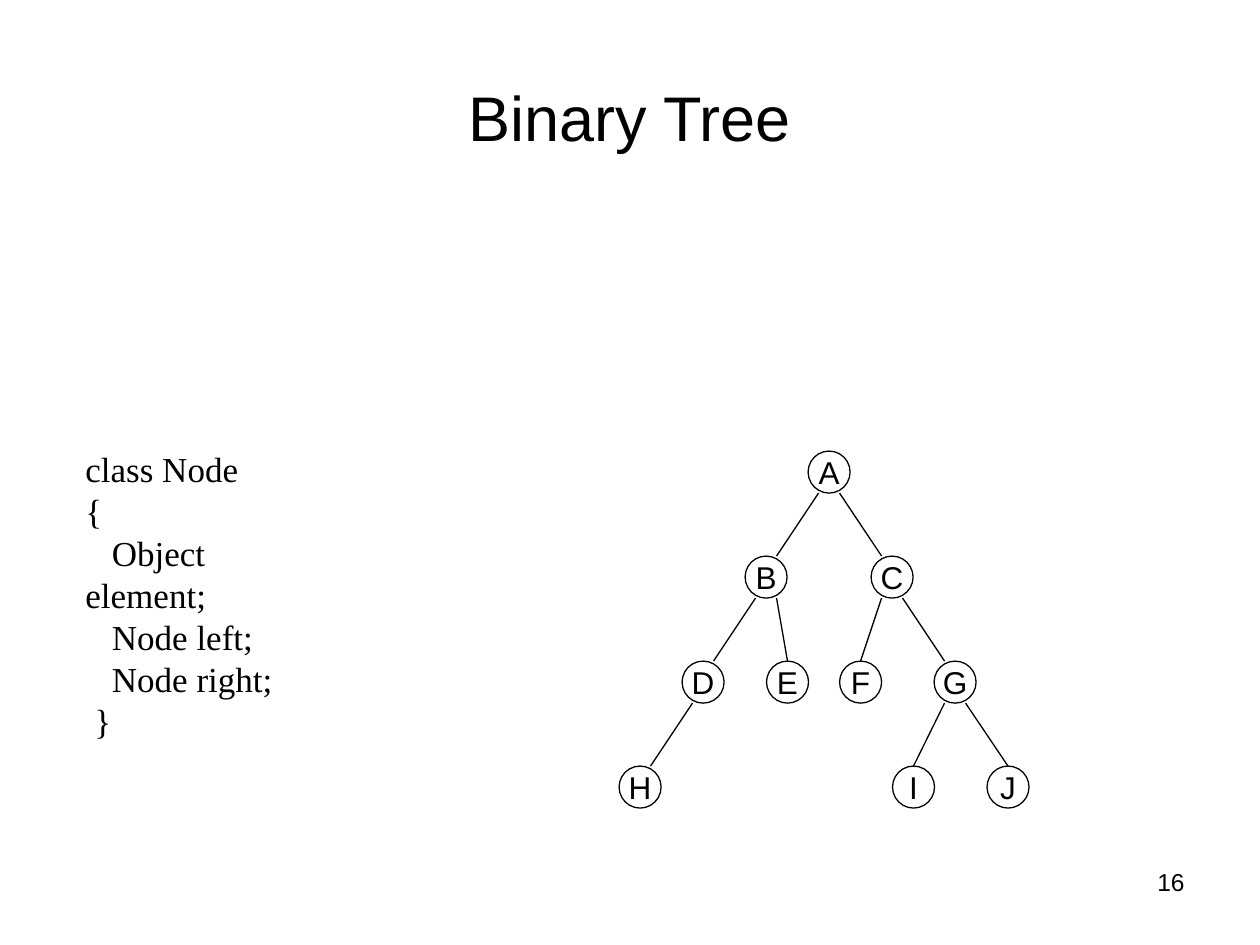
import pptx
import pptx.util
import pptx.dml.color
import pptx.enum.shapes
import pptx.enum.text
import pptx.oxml.ns
from lxml import etree

Inches = pptx.util.Inches
ALIGN = pptx.enum.text.PP_ALIGN
ANCHOR = pptx.enum.text.MSO_ANCHOR

# Content
TITLE = "Binary Tree"
PAGE = "16"
CODE = [("class Node", 0), ("{", 0), ("Object element;", 0.21),
        ("Node left;", 0.21), ("Node right;", 0.21), ("}", 0.07)]
# node: (centre x, level, parent)
TREE = {
    "A": (6.58, 0, None),
    "B": (6.08, 1, "A"), "C": (7.08, 1, "A"),
    "D": (5.58, 2, "B"), "E": (6.25, 2, "B"),
    "F": (6.83, 2, "C"), "G": (7.58, 2, "C"),
    "H": (5.08, 3, "D"), "I": (7.25, 3, "G"), "J": (8.0, 3, "G"),
}

# Layout in inches
TREE_TOP, LEVEL_GAP, NODE = 3.58, 2.5 / 3, 1 / 3
LINK_SHIFT = NODE / 4
BLACK, WHITE = "000000", "FFFFFF"


def color(value):
    return pptx.dml.color.RGBColor.from_string(value)


def box(left, top, width, height):
    return [Inches(v) for v in (left, top, width, height)]


def write(tf, lines, size, font="Arial", align=ALIGN.LEFT, **frame):
    for name, value in frame.items():
        setattr(tf, name, value)
    for i, (text, indent) in enumerate(lines):
        p = tf.paragraphs[0] if i == 0 else tf.add_paragraph()
        p.alignment = align
        if indent:
            p._p.get_or_add_pPr().set("indent", str(Inches(indent)))
        r = p.add_run()
        r.text = text
        for name, value in {"size": pptx.util.Pt(size), "name": font}.items():
            setattr(r.font, name, value)
        r.font.color.rgb = color(BLACK)


def outline(shape):
    shape.line.color.rgb = color(BLACK)
    shape.line.width = pptx.util.Pt(0.75)


prs = pptx.Presentation()
prs.slide_width, prs.slide_height = Inches(10), Inches(7.5)
s = prs.slides.add_slide(prs.slide_layouts[5])

# Title
title = s.shapes.title
title.left, title.top, title.width, title.height = box(0.5, 0.3, 9, 1.25)
write(title.text_frame, [(TITLE, 0)], 36, align=ALIGN.CENTER,
      vertical_anchor=ANCHOR.MIDDLE)

# Page number and class definition
page = s.shapes.add_textbox(*box(7.17, 6.83, 2.33, 0.52))
write(page.text_frame, [(PAGE, 0)], 14, align=ALIGN.RIGHT, word_wrap=True)
code = s.shapes.add_textbox(*box(0.58, 3.5, 2.1, 2.1))
write(code.text_frame, CODE, 20, "Times New Roman", word_wrap=True)

# Tree nodes
tree = s.shapes.add_group_shape().shapes
for label, (x, level, parent) in TREE.items():
    top = TREE_TOP + level * LEVEL_GAP
    node = tree.add_shape(pptx.enum.shapes.MSO_SHAPE.OVAL,
                          *box(x - NODE / 2, top, NODE, NODE))
    node.shadow.inherit = False
    node.fill.background()
    outline(node)
    write(node.text_frame, [(label, 0)], 18, align=ALIGN.CENTER,
          word_wrap=False, vertical_anchor=ANCHOR.MIDDLE)

# Links lean toward the child; wide ones also end off the child's centre
for x, level, parent in TREE.values():
    if parent is None:
        continue
    px = TREE[parent][0]
    shift = LINK_SHIFT if x > px else -LINK_SHIFT
    end_x = x - shift if abs(x - px) > 0.45 else x
    end_y = TREE_TOP + level * LEVEL_GAP
    link = tree.add_connector(
        pptx.enum.shapes.MSO_CONNECTOR.STRAIGHT,
        *box(px + shift, end_y - LEVEL_GAP + NODE, end_x, end_y))
    outline(link)
    etree.SubElement(link._element.spPr, pptx.oxml.ns.qn("a:effectLst"))

prs.save("out.pptx")
